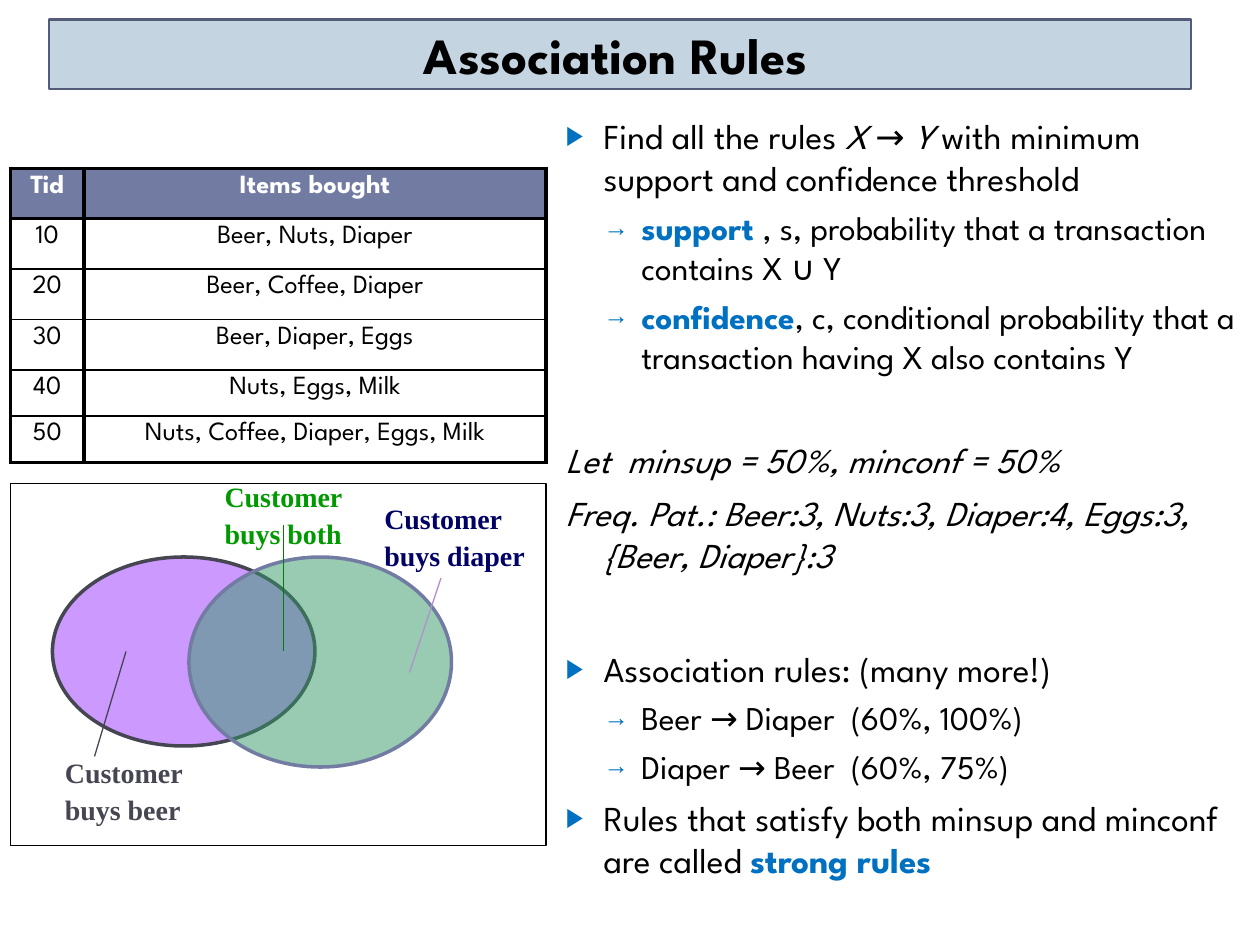
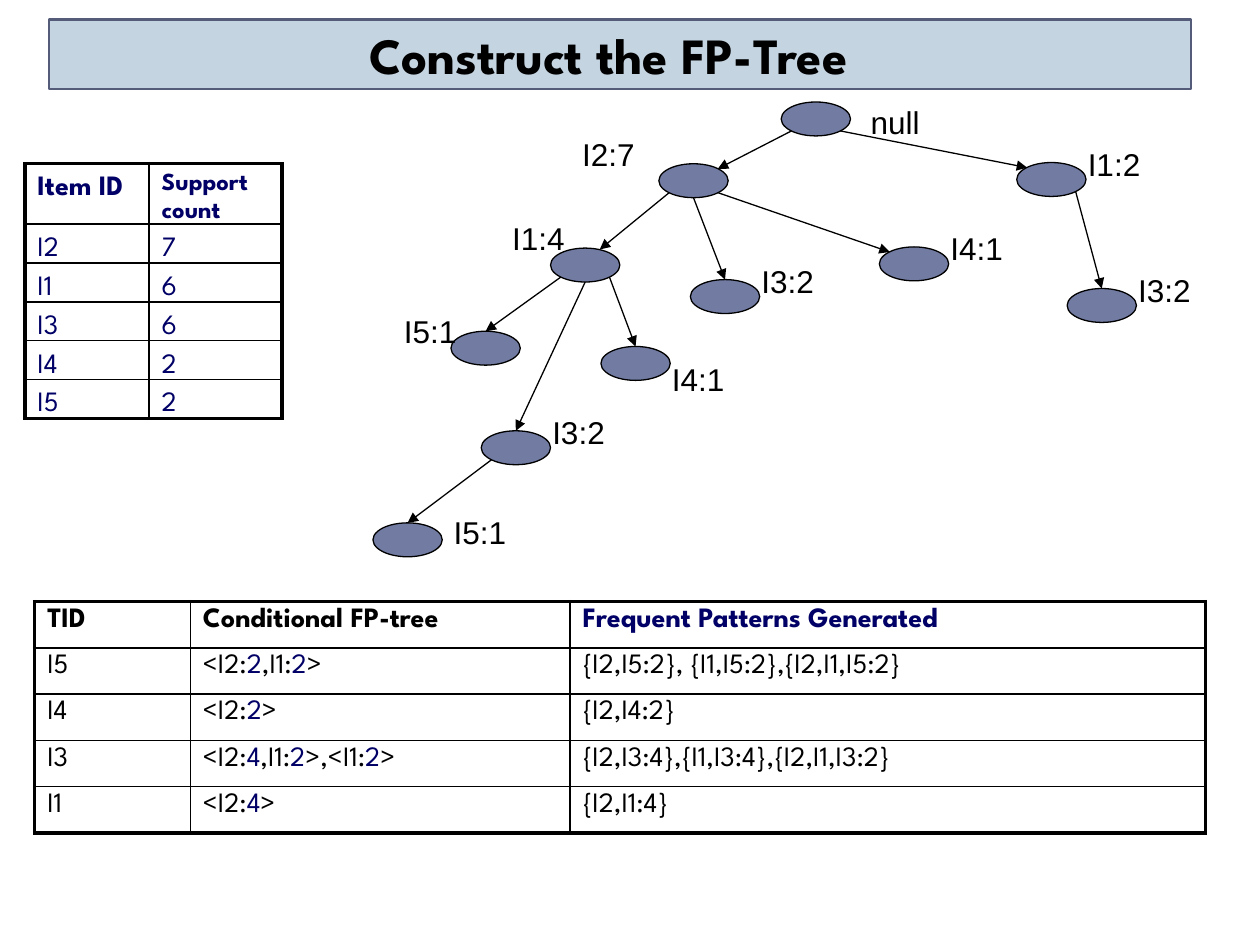
"""Build two slides on association rules and the FP-tree."""
import lxml.etree
import pptx
import pptx.dml.color
import pptx.enum.shapes
import pptx.enum.text
import pptx.oxml.ns
import pptx.util

Pt = pptx.util.Pt
Shape = pptx.enum.shapes.MSO_SHAPE
Align = pptx.enum.text.PP_ALIGN
qn = pptx.oxml.ns.qn

SPARTAN, TIMES, ARIAL = "League Spartan", "Times New Roman", "Arial"
BLACK, WHITE, NAVY, BLUE = "000000", "FFFFFF", "000066", "0070C0"
SLATE, CHARCOAL = "727CA3", "464653"
THICK, THIN, HAIR = 2.25, 1, 0.75
DIAGONAL = (0.15, 0.85)
SITES = {
    "top": (0.5, 0),
    "bottom": (0.5, 1),
    "top left": (DIAGONAL[0], DIAGONAL[0]),
    "top right": (DIAGONAL[1], DIAGONAL[0]),
    "bottom left": (DIAGONAL[0], DIAGONAL[1]),
    "bottom right": (DIAGONAL[1], DIAGONAL[1]),
    "upper right": (0.71, 0.04),
}


def color(value):
    return pptx.dml.color.RGBColor.from_string(value)


def add_xml(parent, tag, **attributes):
    return lxml.etree.SubElement(parent, qn(tag), attributes)


def style_span(span, size, font=SPARTAN, ink=BLACK, bold=False, italic=False):
    span.font.size = Pt(size)
    span.font.name = font
    span.font.color.rgb = color(ink)
    span.font.bold = bold
    span.font.italic = italic


def write(para, marked, style, accent=None):
    for index, piece in enumerate(marked.split("|")):
        if piece:
            span = para.add_run()
            span.text = piece
            style_span(span, **(style | (accent or {}) if index % 2 else style))


def add_text(page, box, lines, style, align=None, line_spacing=None, wrap=True):
    frame = page.shapes.add_textbox(*map(Pt, box)).text_frame
    frame.word_wrap = wrap
    for index, line in enumerate(lines):
        para = frame.add_paragraph() if index else frame.paragraphs[0]
        para.alignment = align
        para.line_spacing = line_spacing
        write(para, line, style)
    return frame


def add_figure(page, kind, box, fill, line, width):
    figure = page.shapes.add_shape(kind, *map(Pt, box))
    figure.shadow.inherit = False
    if fill:
        figure.fill.solid()
        figure.fill.fore_color.rgb = color(fill)
    else:
        figure.fill.background()
    figure.line.color.rgb = color(line)
    figure.line.width = Pt(width)
    return figure


def add_line(page, start, end, ink=BLACK, arrow=False):
    line = page.shapes.add_connector(
        pptx.enum.shapes.MSO_CONNECTOR.STRAIGHT, *map(Pt, (*start, *end)))
    line.line.color.rgb = color(ink)
    line.line.width = Pt(HAIR)
    if arrow:
        add_xml(line.line._get_or_add_ln(), "a:tailEnd", type="triangle")
    add_xml(line._element.spPr, "a:effectLst")


def set_borders(cell, widths):
    properties = cell._tc.get_or_add_tcPr()
    for index, (side, width) in enumerate(zip("LRTB", widths)):
        edge = lxml.etree.Element(qn(f"a:ln{side}"), w=str(Pt(width)))
        fill = add_xml(edge, "a:solidFill")
        add_xml(fill, "a:srgbClr", val=BLACK)
        properties.insert(index, edge)


def add_table(page, box, columns, heights, rows, style_of, align=None,
              divider=THIN, header_rule=THIN, header_fill=None, pitches=None):
    frame = page.shapes.add_table(len(rows), len(columns), *map(Pt, box))
    table = frame.table
    table.first_row = table.horz_banding = False
    for column, width in zip(table.columns, columns):
        column.width = Pt(width)
    last_row, last_column = len(rows) - 1, len(columns) - 1
    for r, row in enumerate(rows):
        table.rows[r].height = Pt(heights[r])
        for c, words in enumerate(row):
            cell = table.cell(r, c)
            if header_fill and r == 0:
                cell.fill.solid()
                cell.fill.fore_color.rgb = color(header_fill)
            else:
                cell.fill.background()
            set_borders(cell, (
                divider if c else THICK,
                divider if c < last_column else THICK,
                {0: THICK, 1: header_rule}.get(r, THIN),
                THICK if r == last_row else THIN if r else header_rule))
            style = style_of(r, c)
            para = cell.text_frame.paragraphs[0]
            para.alignment = align
            if pitches:
                cell.margin_top, cell.margin_bottom = Pt(2), 0
                para.line_spacing = Pt(pitches[style["size"]])
            else:
                para.space_before = Pt(6)
            write(para, words, style, {"ink": NAVY})


def add_title(page, title, box):
    add_figure(page, Shape.RECTANGLE, (28, 11.2, 652.5, 39.6), "C5D4E1", "545C79", 1.5)
    frame = add_text(page, box, [title], {"size": 29, "bold": True}, Align.CENTER)
    frame.vertical_anchor = pptx.enum.text.MSO_ANCHOR.BOTTOM


def add_transactions(page, box):
    rows = [("Tid", "Items bought"), ("10", "Beer, Nuts, Diaper"),
            ("20", "Beer, Coffee, Diaper"), ("30", "Beer, Diaper, Eggs"),
            ("40", "Nuts, Eggs, Milk"), ("50", "Nuts, Coffee, Diaper, Eggs, Milk")]

    def style_of(r, c):
        return {"size": 15, "ink": BLACK if r else WHITE, "bold": r == 0}

    add_table(page, box, (42, box[2] - 42), [28.8] * 4 + [26.4] * 2, rows, style_of,
              Align.CENTER, THICK, THICK, SLATE)


def add_venn(page, box):
    left, top = box[:2]

    def place(x, y):
        return left + x, top + y

    add_figure(page, Shape.OVAL, (*place(24, 42), 150, 108), "CC99FF", CHARCOAL, 2)
    diaper = add_figure(page, Shape.OVAL, (*place(102, 42), 150, 120), "339966", SLATE, 2)
    tint = diaper._element.spPr.find(qn("a:solidFill"))[0]
    add_xml(tint, "a:alpha", val="50000")
    for start, end, ink in (((66, 96), (48, 156), CHARCOAL),
                            ((228, 108), (246, 54), "B292CA"),
                            ((156, 96), (156, 24), "008000")):
        add_line(page, place(*start), place(*end), ink)
    for x, y, width, group, ink in ((206.5, 5, 96, "diaper", NAVY),
                                    (115.2, -7.7, 82, "both", "009900"),
                                    (24, 150, 82, "beer", CHARCOAL)):
        add_text(page, (*place(x, y), width, 49.7), ["Customer", f"buys {group}"],
                 {"size": 16, "font": TIMES, "ink": ink, "bold": True},
                 line_spacing=1.1, wrap=group != "beer")
    add_figure(page, Shape.RECTANGLE, box, None, BLACK, HAIR)


def add_rules(page, box):
    emphasis = {"ink": BLUE, "bold": True}
    slanted = {"italic": True}
    lines = [
        ("▶", 0, "Find all the rules |X |→ |Y |with minimum support and confidence threshold", slanted),
        ("→", 5, "|support |, s, probability that a transaction contains X ∪ Y", emphasis),
        ("→", 5, "|confidence|, c, conditional probability that a transaction having X also contains Y", emphasis),
        (None, 36, "|Let  minsup = 50%, minconf = 50%", slanted),
        (None, 6, "|Freq. Pat.: Beer:3, Nuts:3, Diaper:4, Eggs:3, {Beer, Diaper}:3", slanted),
        ("▶", 41, "Association rules: (many more!)", None),
        ("→", 5, "Beer → Diaper  (60%, 100%)", None),
        ("→", 5, "Diaper → Beer  (60%, 75%)", None),
        ("▶", 6, "Rules that satisfy both minsup and minconf are called |strong rules", emphasis),
    ]
    frame = page.shapes.add_textbox(*map(Pt, box)).text_frame
    frame.word_wrap = True
    for index, (bullet, gap, words, accent) in enumerate(lines):
        para = frame.add_paragraph() if index else frame.paragraphs[0]
        nested = bullet == "→"
        para.space_before = Pt(gap)
        properties = para._p.get_or_add_pPr()
        properties.set("marL", str(Pt(43.2 if nested else 21.6)))
        properties.set("indent", str(Pt(-21.6)))
        if bullet:
            add_xml(add_xml(properties, "a:buClr"), "a:srgbClr", val=BLUE)
            add_xml(properties, "a:buSzPct", val="76000")
            add_xml(properties, "a:buFont", typeface=ARIAL)
            add_xml(properties, "a:buChar", char=bullet)
        write(para, words, {"size": 19 if nested else 20}, accent)


def add_support_counts(page, box):
    rows = [("Item ID", "Support count"), ("I2", "7"), ("I1", "6"),
            ("I3", "6"), ("I4", "2"), ("I5", "2")]

    def style_of(r, c):
        return {"size": 14 if r == 0 and c else 16, "ink": NAVY, "bold": r == 0}

    add_table(page, box, (71, box[2] - 71), [34.6] + [22.2] * 5, rows, style_of,
              pitches={14: 16.3, 16: 20})


def add_tree(page, box):
    left, top = box[:2]
    width, height = 39.6, 19.4
    beside = (33.5, -13.7)
    nodes = {
        "root": (233.3, 0, "null", (44, -3)),
        "I2": (163.4, 35.3, "I2:7", (-51, -20)),
        "I2 I1": (101.5, 83.5, "I1:4", (-29, -20)),
        "I2 I1 I5": (44.6, 131, "I5:1", (-34, -14.4)),
        "I2 I4": (289.4, 82.8, "I4:1", beside),
        "I2 I3": (181.4, 101.5, "I3:2", beside),
        "I2 I1 I4": (130.3, 139.7, "I4:1", (33.5, 4.3)),
        "I1": (367.9, 34.6, "I1:2", beside),
        "I1 I3": (396.7, 106.6, "I3:2", beside),
        "I2 I1 I3": (61.9, 187.9, "I3:2", beside),
        "I2 I1 I3 I5": (0, 240.5, "I5:1", (39, -9.4)),
    }
    branches = [
        ("root", "bottom left", "I2", "top right"),
        ("root", "bottom right", "I1", "top left"),
        ("I2", "bottom left", "I2 I1", "upper right"),
        ("I2", "bottom", "I2 I3", "top"),
        ("I2", "bottom right", "I2 I4", "top left"),
        ("I2 I1", "bottom left", "I2 I1 I5", "top"),
        ("I2 I1", "bottom", "I2 I1 I3", "top"),
        ("I2 I1", "bottom right", "I2 I1 I4", "top"),
        ("I2 I1 I3", "bottom left", "I2 I1 I3 I5", "top"),
        ("I1", "bottom right", "I1 I3", "top"),
    ]

    def point(node, site):
        x, y = nodes[node][:2]
        across, down = SITES[site]
        return left + x + across * width, top + y + down * height

    for x, y, label, (dx, dy) in nodes.values():
        add_figure(page, Shape.OVAL, (left + x, top + y, width, height), SLATE, BLACK, HAIR)
        add_text(page, (left + x + dx, top + y + dy, 44.6, 28.8), [label],
                 {"size": 18, "font": ARIAL}, wrap=False)
    for parent, exit_site, child, entry_site in branches:
        add_line(page, point(parent, exit_site), point(child, entry_site), arrow=True)


def add_patterns(page, box):
    rows = [("TID", "Conditional FP-tree", "Frequent Patterns Generated"),
            ("I5", "<I2:|2|,I1:|2|>", "{I2,I5:2}, {I1,I5:2},{I2,I1,I5:2}"),
            ("I4", "<I2:|2|>", "{I2,I4:2}"),
            ("I3", "<I2:|4|,I1:|2|>,<I1:|2|>", "{I2,I3:4},{I1,I3:4},{I2,I1,I3:2}"),
            ("I1", "<I2:|4|>", "{I2,I1:4}")]

    def style_of(r, c):
        return {"size": 16, "ink": NAVY if (r, c) == (0, 2) else BLACK, "bold": r == 0}

    add_table(page, box, (89, 217, box[2] - 306), [box[3] / 5] * 5, rows, style_of)


def build_rules_slide(page):
    add_title(page, "Association Rules", (28, 12.2, 648, 39.6))
    add_rules(page, (316.2, 62, 399.6, 478))
    add_venn(page, (6, 276.3, 306, 207))
    add_transactions(page, (6, 96.2, 306, 168))


def build_tree_slide(page):
    add_title(page, "Construct the FP-Tree", (23.8, 15.1, 648, 36.7))
    add_support_counts(page, (14.2, 93.5, 147, 145.6))
    add_tree(page, (213.1, 58.3, 446, 260))
    add_patterns(page, (19.8, 343.8, 669, 132))


def main():
    deck = pptx.Presentation()
    deck.slide_width, deck.slide_height = Pt(720), Pt(540)
    for build in (build_rules_slide, build_tree_slide):
        build(deck.slides.add_slide(deck.slide_layouts[6]))
    deck.save("out.pptx")


if __name__ == "__main__":
    main()
